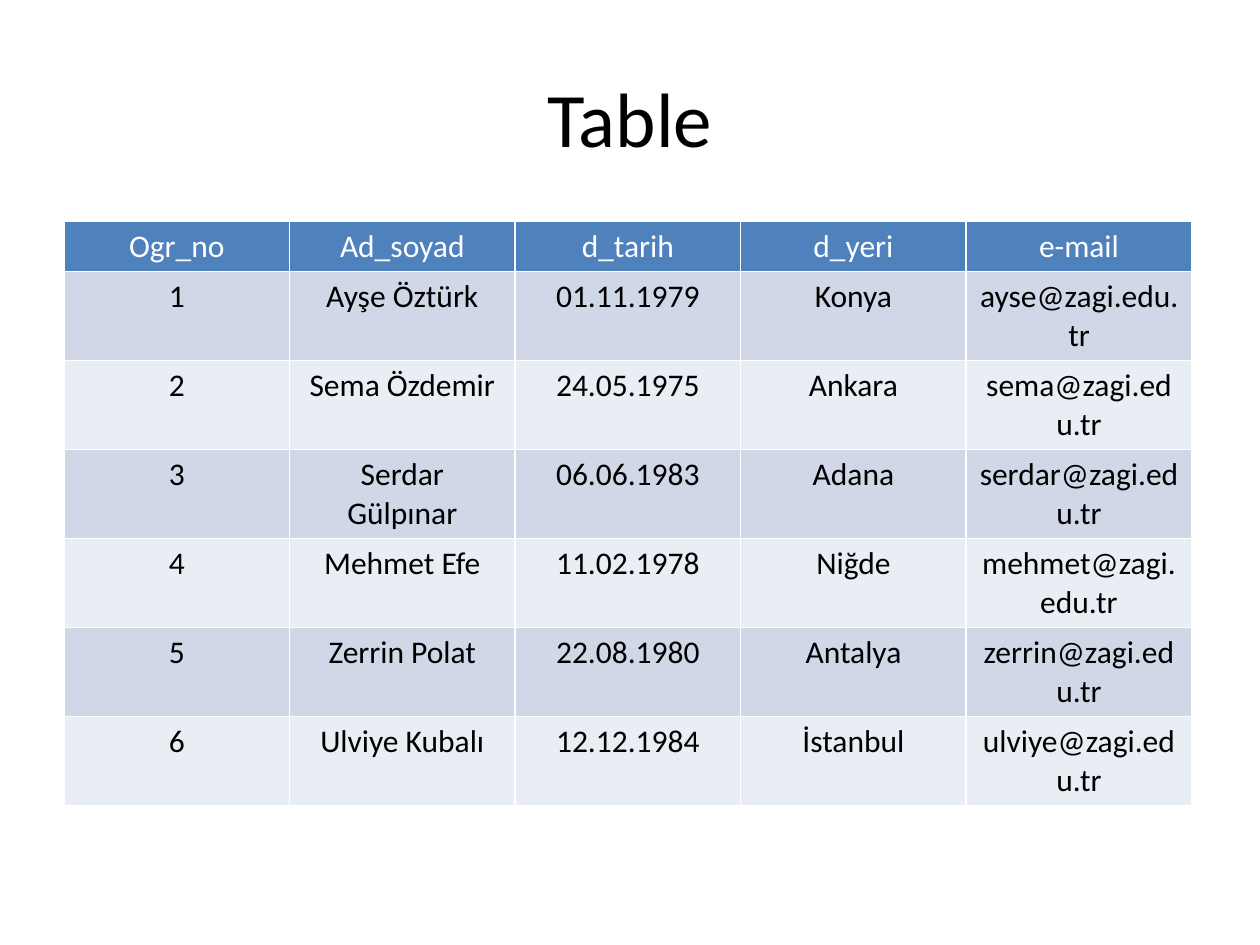
"""Build a slide with a title and a table of student records."""
from pptx import Presentation
from pptx import util as u
from pptx.dml.color import RGBColor
from pptx.enum import text

PX = u.Inches(1) / 126
FONT = "Calibri"
BLACK = RGBColor(0x00, 0x00, 0x00)
WHITE = RGBColor(0xFF, 0xFF, 0xFF)
HEADER_BLUE = RGBColor(0x4F, 0x81, 0xBD)
BAND_DARK = RGBColor(0xD0, 0xD8, 0xE8)
BAND_LIGHT = RGBColor(0xE9, 0xED, 0xF4)

HEADER_HEIGHT = 50
ROW_HEIGHT = 89
RECORDS = [
    ("Ogr_no", "Ad_soyad", "d_tarih", "d_yeri", "e-mail"),
    ("1", "Ayşe Öztürk", "01.11.1979", "Konya", "ayse@zagi.edu.tr"),
    ("2", "Sema Özdemir", "24.05.1975", "Ankara", "sema@zagi.edu.tr"),
    ("3", "Serdar Gülpınar", "06.06.1983", "Adana", "serdar@zagi.edu.tr"),
    ("4", "Mehmet Efe", "11.02.1978", "Niğde", "mehmet@zagi.edu.tr"),
    ("5", "Zerrin Polat", "22.08.1980", "Antalya", "zerrin@zagi.edu.tr"),
    ("6", "Ulviye Kubalı", "12.12.1984", "İstanbul", "ulviye@zagi.edu.tr"),
]


def px(*lengths):
    return [u.Emu(round(length * PX)) for length in lengths]


def write(paragraph, content, size, color):
    paragraph.text = content
    paragraph.alignment = text.PP_ALIGN.CENTER
    paragraph.font.name = FONT
    paragraph.font.size = u.Pt(size)
    paragraph.font.bold = False
    paragraph.font.color.rgb = color


presentation = Presentation()
presentation.slide_width, presentation.slide_height = px(1260, 945)
slide = presentation.slides.add_slide(presentation.slide_layouts[6])

title = slide.shapes.add_textbox(*px(63, 38, 1134, 158)).text_frame
title.word_wrap = True
title.vertical_anchor = text.MSO_ANCHOR.MIDDLE
write(title.paragraphs[0], "Table", 44, BLACK)

table_height = HEADER_HEIGHT + ROW_HEIGHT * (len(RECORDS) - 1)
table = slide.shapes.add_table(
    len(RECORDS), len(RECORDS[0]), *px(64, 221, 1128, table_height)
).table

for row_index, record in enumerate(RECORDS):
    is_header = row_index == 0
    table.rows[row_index].height = px(HEADER_HEIGHT if is_header else ROW_HEIGHT)[0]
    band = BAND_DARK if row_index % 2 else BAND_LIGHT
    for column_index, value in enumerate(record):
        cell = table.cell(row_index, column_index)
        cell.fill.solid()
        cell.fill.fore_color.rgb = HEADER_BLUE if is_header else band
        write(cell.text_frame.paragraphs[0], value, 18, WHITE if is_header else BLACK)

presentation.save("out.pptx")
